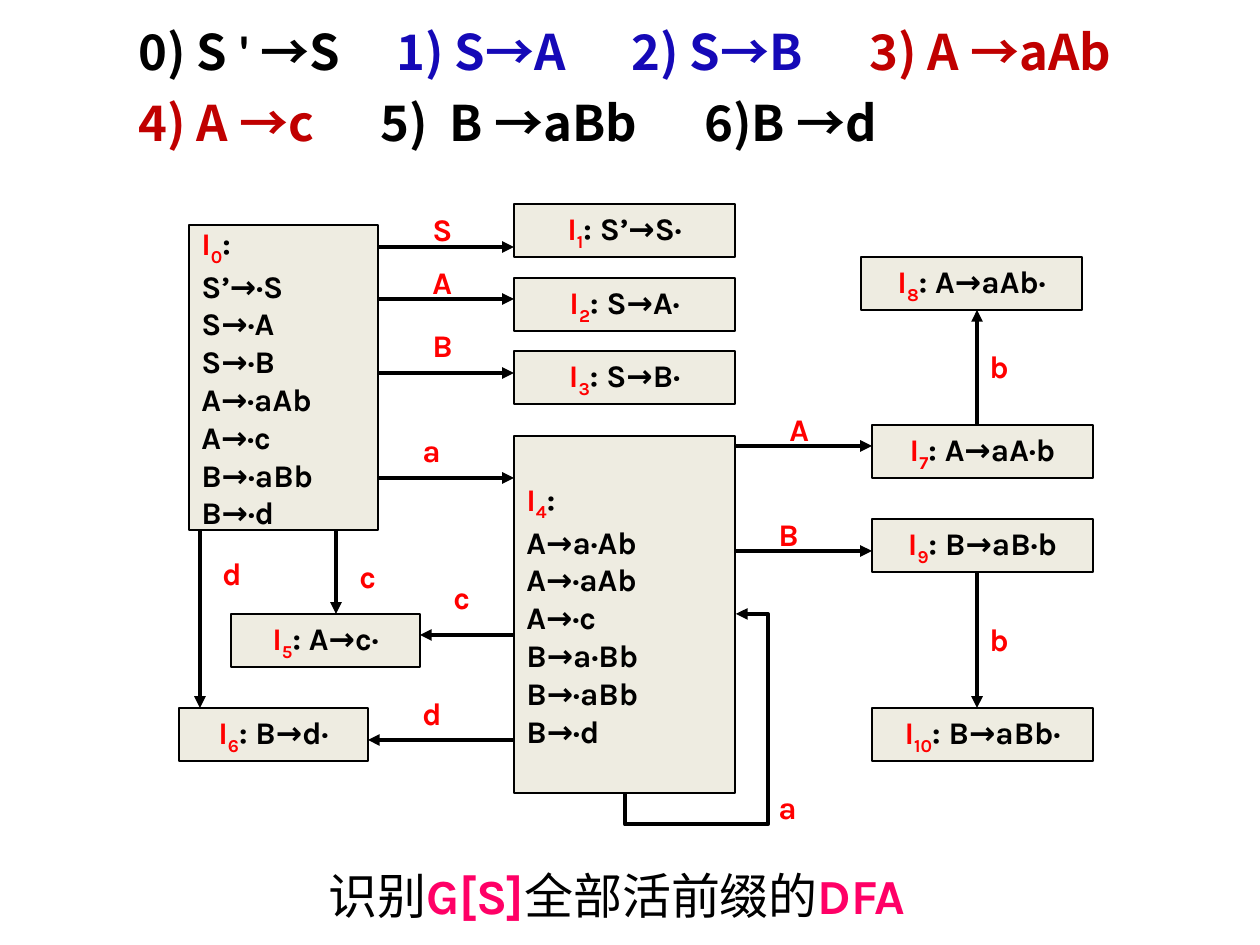
from pptx import Presentation
from pptx.dml.color import RGBColor
from pptx.enum.shapes import MSO_CONNECTOR as Connector, MSO_SHAPE as Shape
from pptx.enum.text import MSO_ANCHOR as Anchor, MSO_AUTO_SIZE as AutoSize, PP_ALIGN as Align
from pptx.oxml.ns import qn
from pptx.util import Pt
from lxml.etree import SubElement

SCALE = 914400 / 126
BLACK = RGBColor(0x00, 0x00, 0x00)
RED = RGBColor(0xFF, 0x00, 0x00)
BLUE = RGBColor(0x15, 0x09, 0xB7)
DARK_RED = RGBColor(0xC0, 0x00, 0x00)
PINK = RGBColor(0xFF, 0x00, 0x66)
BEIGE = RGBColor(0xEE, 0xEC, 0xE1)
STATE_FONT = "Karla"
RULE_FONT = "Noto Sans CJK JP"

RULES = [
    ([258, 493, 731], [("0) S", BLACK), (" ' ", BLACK), ("→S\t", BLACK),
                       ("1) S→A\t2) S→B\t", BLUE), ("3) A →aAb", DARK_RED)]),
    ([242, 566], [("4) A →c\t", DARK_RED), ("5)  B →aBb\t6)B →d", BLACK)]),
]
CAPTION = [("识别", BLACK), ("G[S]", PINK), ("全部活前缀的", BLACK), ("DFA", PINK)]

NARROW, WIDE, LOW = 189, 221, 53
STATES = [
    ("0", (189, 225, NARROW, 305),
     ["S’→·S", "S→·A", "S→·B", "A→·aAb", "A→·c", "B→·aBb", "B→·d"]),
    ("1", (514, 204, WIDE, LOW), ["S’→S·"]),
    ("2", (514, 278, WIDE, LOW), ["S→A·"]),
    ("3", (514, 351, WIDE, LOW), ["S→B·"]),
    ("4", (514, 436, WIDE, 357),
     ["A→a·Ab", "A→·aAb", "A→·c", "B→a·Bb", "B→·aBb", "B→·d"]),
    ("5", (231, 614, NARROW, LOW), ["A→c·"]),
    ("6", (179, 708, NARROW, LOW), ["B→d·"]),
    ("7", (872, 425, WIDE, LOW), ["A→aA·b"]),
    ("8", (861, 257, WIDE, LOW), ["A→aAb·"]),
    ("9", (872, 519, WIDE, LOW), ["B→aB·b"]),
    ("10", (872, 708, WIDE, LOW), ["B→aBb·"]),
]
ARROWS = [
    (378, 247, 514, 247), (378, 299, 514, 299), (378, 373, 514, 373),
    (378, 478, 514, 478), (336, 530, 336, 614), (514, 635, 420, 635),
    (200, 530, 200, 708), (514, 740, 368, 740), (735, 551, 872, 551),
    (735, 446, 872, 446), (977, 425, 977, 310), (977, 572, 977, 708),
]
LABELS = [
    ("S", 420, 204), ("A", 420, 257), ("B", 420, 320), ("a", 410, 425),
    ("c", 347, 551), ("c", 441, 572), ("d", 210, 548), ("d", 410, 688),
    ("a", 766, 782), ("B", 766, 509), ("A", 777, 404), ("b", 977, 341),
    ("b", 977, 614),
]
LOOP = (770, 759, 591, 648)
LOOP_BENDS = {"adj1": -17600, "adj2": 128600}


def emu(*lengths):
    return [round(length * SCALE) for length in lengths]


def style(paragraph, size, name=STATE_FONT, bold=True, align=Align.LEFT):
    paragraph.alignment = align
    paragraph.font.size = Pt(size)
    paragraph.font.name = name
    paragraph.font.bold = bold


def add_run(paragraph, text, color):
    run = paragraph.add_run()
    run.text = text
    run.font.color.rgb = color
    return run


def add_state(slide, number, box, items):
    shape = slide.shapes.add_shape(Shape.RECTANGLE, *emu(*box))
    shape.shadow.inherit = False
    shape.fill.solid()
    shape.fill.fore_color.rgb = BEIGE
    shape.line.color.rgb = BLACK
    shape.line.width = Pt(0.75)
    frame = shape.text_frame
    frame.word_wrap = False
    frame.vertical_anchor = Anchor.MIDDLE
    single = len(items) == 1
    heading = frame.paragraphs[0]
    style(heading, 18, align=Align.CENTER if single else Align.LEFT)
    add_run(heading, "I", RED)
    subscript = add_run(heading, number, RED)
    subscript.font._element.set("baseline", "-25000")
    add_run(heading, f": {items[0]}" if single else ":", BLACK)
    for item in [] if single else items:
        paragraph = frame.add_paragraph()
        style(paragraph, 18)
        add_run(paragraph, item, BLACK)


def add_arrow(slide, ends, kind=Connector.STRAIGHT):
    connector = slide.shapes.add_connector(kind, *emu(*ends))
    connector.line.color.rgb = BLACK
    connector.line.width = Pt(2.25)
    SubElement(connector.line._get_or_add_ln(), qn("a:tailEnd"), type="triangle")
    SubElement(connector._element.spPr, qn("a:effectLst"))
    return connector


def add_loop(slide):
    properties = add_arrow(slide, LOOP, Connector.ELBOW)._element.spPr
    properties.find(qn("a:xfrm")).set("rot", "5400000")
    geometry = properties.find(qn("a:prstGeom"))
    geometry.set("prst", "bentConnector4")
    guides = geometry.find(qn("a:avLst"))
    if guides is None:
        guides = SubElement(geometry, qn("a:avLst"))
    for name, value in LOOP_BENDS.items():
        SubElement(guides, qn("a:gd"), name=name, fmla=f"val {value}")


def add_label(slide, text, left, top):
    frame = slide.shapes.add_textbox(*emu(left, top, 53, 50)).text_frame
    frame.word_wrap = True
    style(frame.paragraphs[0], 18)
    add_run(frame.paragraphs[0], text, RED)


def add_rules(slide):
    frame = slide.shapes.add_textbox(*emu(126, 15, 1071, 199)).text_frame
    frame.word_wrap = True
    for index, (stops, parts) in enumerate(RULES):
        paragraph = frame.add_paragraph() if index else frame.paragraphs[0]
        paragraph.space_after = Pt(7)
        tabs = SubElement(paragraph._element.get_or_add_pPr(), qn("a:tabLst"))
        for stop in emu(*stops):
            SubElement(tabs, qn("a:tab"), pos=str(stop), algn="l")
        style(paragraph, 28, RULE_FONT)
        for text, color in parts:
            run = add_run(paragraph, text, color)
            if text == " ' ":
                run.font.name = "Calibri"


def fill_caption(title):
    title.left, title.top, title.width, title.height = emu(160, 859, 914, 72)
    frame = title.text_frame
    frame.word_wrap = True
    frame.auto_size = AutoSize.NONE
    frame.vertical_anchor = Anchor.TOP
    style(frame.paragraphs[0], 28, bold=False, align=Align.CENTER)
    for text, color in CAPTION:
        add_run(frame.paragraphs[0], text, color).font.bold = color == PINK


def main():
    presentation = Presentation()
    presentation.slide_width, presentation.slide_height = emu(1260, 945)
    slide = presentation.slides.add_slide(presentation.slide_layouts[5])
    fill_caption(slide.shapes.title)
    add_rules(slide)
    for state in STATES:
        add_state(slide, *state)
    for ends in ARROWS:
        add_arrow(slide, ends)
    add_loop(slide)
    for label in LABELS:
        add_label(slide, *label)
    presentation.save("out.pptx")


if __name__ == "__main__":
    main()
